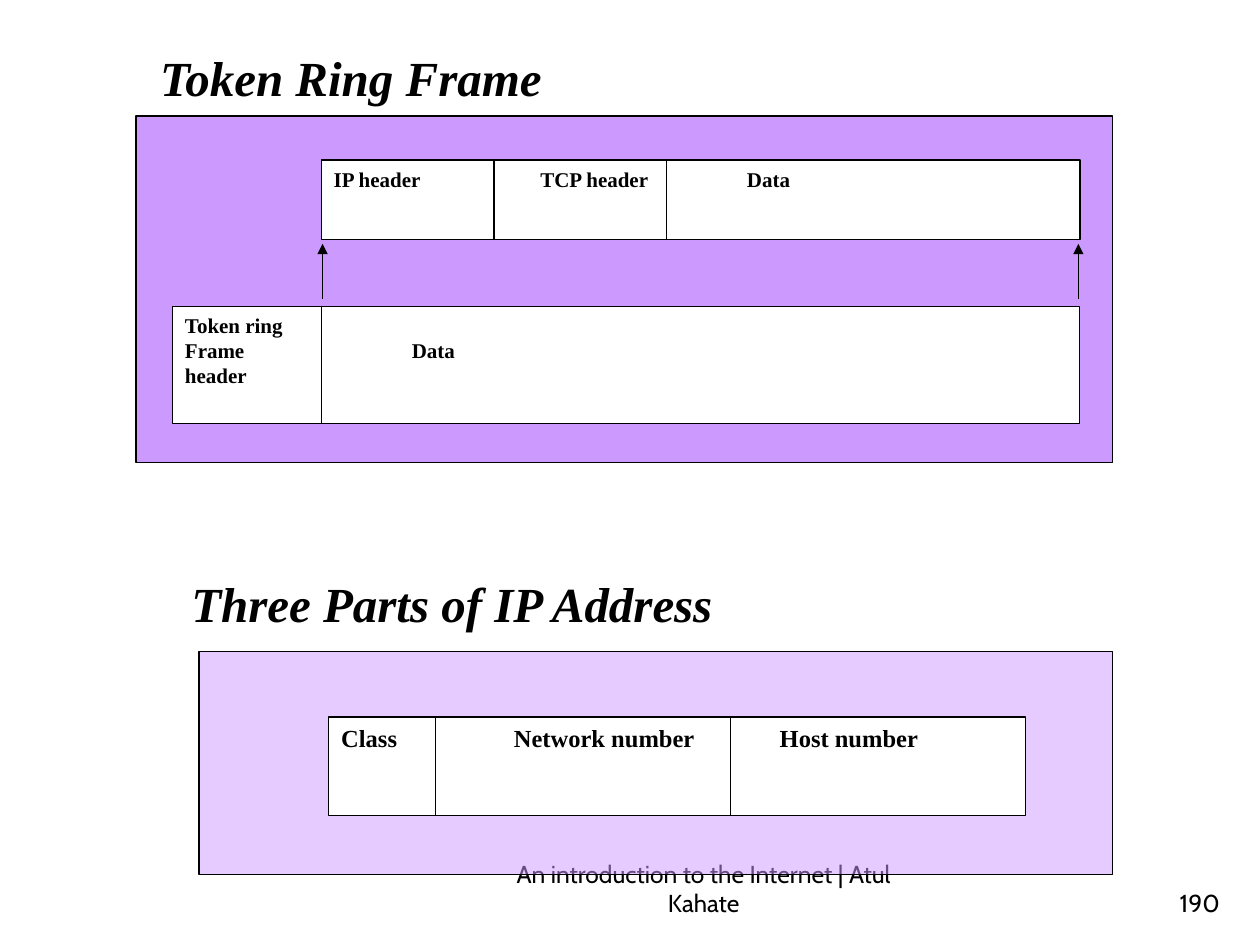
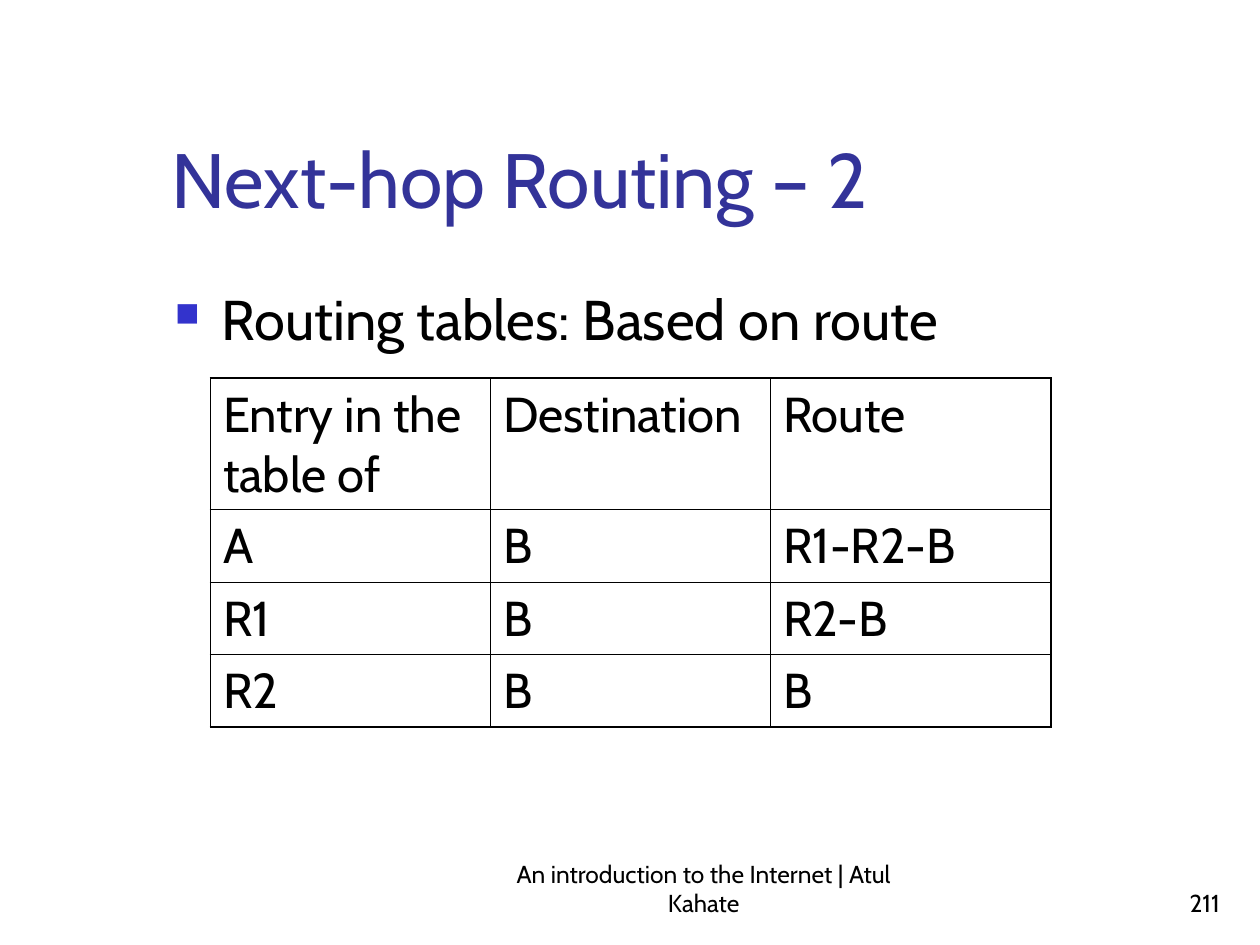
from dataclasses import dataclass

from lxml.etree import SubElement
from pptx import Presentation
from pptx.dml.color import RGBColor
from pptx.enum.shapes import MSO_CONNECTOR, MSO_SHAPE
from pptx.enum.text import MSO_ANCHOR, MSO_AUTO_SIZE, PP_ALIGN
from pptx.oxml import parse_xml
from pptx.oxml.ns import nsdecls, qn
from pptx.util import Inches, Pt

BLACK = RGBColor(0x00, 0x00, 0x00)
WHITE = RGBColor(0xFF, 0xFF, 0xFF)
LILAC = RGBColor(0xCC, 0x99, 0xFF)
TITLE_BLUE = RGBColor(0x33, 0x33, 0x99)
BULLET_BLUE = RGBColor(0x33, 0x33, 0xCC)
SANS, SERIF = "Cabin", "Times New Roman"
TITLE_ONLY = 5
LINE_WIDTH, OUTER_BORDER, INNER_BORDER = Pt(0.75), Pt(1.08), Pt(0.45)
FOOTER = "An introduction to the Internet | Atul Kahate"
ROUTES = [
    ["Entry in the table of", "Destination", "Route"],
    ["A", "B", "R1-R2-B"],
    ["R1", "B", "R2-B"],
    ["R2", "B", "B"],
]


@dataclass
class Box:
    """A rectangle in inches whose areas are given as percentages of it."""

    left: float
    top: float
    width: float
    height: float

    def x(self, share):
        """Return the horizontal position at a percentage of the width."""
        return self.left + self.width * share / 100

    def y(self, share):
        """Return the vertical position at a percentage of the height."""
        return self.top + self.height * share / 100

    def area(self, left, top, width, height):
        """Return the box at the given percentages of this one."""
        return Box(self.x(left), self.y(top), self.width * width / 100, self.height * height / 100)

    def lengths(self):
        """Return left, top, width and height as lengths."""
        return [Inches(value) for value in (self.left, self.top, self.width, self.height)]


SLIDE = Box(0, 0, 10, 7.5)


def style_text(text_frame, font_name, size, color=BLACK, bold=False, italic=False, align=PP_ALIGN.LEFT):
    """Format every paragraph and run of a text frame."""
    for paragraph in text_frame.paragraphs:
        paragraph.alignment = align
        for run in paragraph.runs:
            font = run.font
            font.name, font.size, font.bold, font.italic = font_name, Pt(size), bold, italic
            font.color.rgb = color


def add_text(slide, box, text, anchor=MSO_ANCHOR.TOP):
    """Add a wrapping text box and return its text frame."""
    text_frame = slide.shapes.add_textbox(*box.lengths()).text_frame
    text_frame.word_wrap = True
    text_frame.vertical_anchor = anchor
    text_frame.text = text
    return text_frame


def fill_title(slide, box, text, anchor):
    """Move the title placeholder, fill it and return its text frame."""
    title = slide.shapes.title
    title.left, title.top, title.width, title.height = box.lengths()
    text_frame = title.text_frame
    text_frame.auto_size = MSO_AUTO_SIZE.NONE
    text_frame.vertical_anchor = anchor
    text_frame.text = text
    return text_frame


def style_heading(text_frame):
    """Give a diagram heading its single-line serif style."""
    text_frame.word_wrap = False
    text_frame.auto_size = MSO_AUTO_SIZE.SHAPE_TO_FIT_TEXT
    style_text(text_frame, SERIF, 28, bold=True, italic=True)


def add_slide(presentation, number):
    """Add a title-only slide with the shared footer and its number."""
    slide = presentation.slides.add_slide(presentation.slide_layouts[TITLE_ONLY])
    footer = add_text(slide, SLIDE.area(40, 91.07, 31.7, 6.67), FOOTER, MSO_ANCHOR.BOTTOM)
    style_text(footer, SANS, 14, align=PP_ALIGN.CENTER)
    page = add_text(slide, SLIDE.area(77, 91.07, 20.8, 6.67), str(number), MSO_ANCHOR.BOTTOM)
    style_text(page, SANS, 14, align=PP_ALIGN.RIGHT)
    return slide


def add_rectangle(shapes, box, color, opacity=100):
    """Add a thinly outlined rectangle."""
    shape = shapes.add_shape(MSO_SHAPE.RECTANGLE, *box.lengths())
    shape.shadow.inherit = False
    shape.fill.solid()
    shape.fill.fore_color.rgb = color
    shape.line.color.rgb = BLACK
    shape.line.width = LINE_WIDTH
    if opacity < 100:
        tint = shape._element.spPr.find(qn("a:solidFill"))[0]
        SubElement(tint, qn("a:alpha"), val=str(opacity * 1000))
    return shape


def add_line(shapes, x, start_y, end_y, arrow=False):
    """Add a vertical line, with an arrowhead at its end on request."""
    connector = shapes.add_connector(
        MSO_CONNECTOR.STRAIGHT, Inches(x), Inches(start_y), Inches(x), Inches(end_y))
    connector.line.color.rgb = BLACK
    connector.line.width = LINE_WIDTH
    properties = connector._element.spPr
    if arrow:
        SubElement(properties.find(qn("a:ln")), qn("a:tailEnd"), type="triangle")
    SubElement(properties, qn("a:effectLst"))


def add_fields(shapes, box, text, size, stops, dividers):
    """Add a packet bar with tabbed field names and dividers."""
    text_frame = add_rectangle(shapes, box, WHITE).text_frame
    text_frame.word_wrap = True
    text_frame.vertical_anchor = MSO_ANCHOR.TOP
    text_frame.text = text
    for paragraph in text_frame.paragraphs:
        tabs = SubElement(paragraph._p.get_or_add_pPr(), qn("a:tabLst"))
        for stop in stops:
            SubElement(tabs, qn("a:tab"), pos=str(Inches(stop)), algn="l")
    style_text(text_frame, SERIF, size, bold=True)
    for divider in dividers:
        add_line(shapes, box.x(divider), box.y(0), box.y(100))


def add_token_ring_frame(slide, box):
    """Draw the IP packet carried inside the token ring frame."""
    shapes = slide.shapes.add_group_shape().shapes
    add_rectangle(shapes, box, LILAC)
    add_fields(shapes, box.area(18.97, 12.7, 77.7, 22.9),
               "IP header\tTCP header\tData", 12, [1.64, 3.28], [22.76, 45.51])
    add_fields(shapes, box.area(3.74, 54.9, 92.9, 33.8),
               "Token ring\nFrame\tData\nheader", 12, [1.8], [16.39])
    for edge in (19.1, 96.5):
        add_line(shapes, box.x(edge), box.y(52.7), box.y(36.9), arrow=True)


def add_address_fields(slide, box):
    """Draw the three fields of an IP address on a translucent panel."""
    add_rectangle(slide.shapes, box, LILAC, opacity=50)
    add_fields(slide.shapes, box.area(14.2, 29.4, 76.3, 44.1),
               "Class\tNetwork number\tHost number", 14, [1.37, 3.48], [15.28, 57.6])


def add_bullet(slide, box, text):
    """Add a text box with one square-bulleted paragraph."""
    text_frame = add_text(slide, box, text)
    properties = text_frame.paragraphs[0]._p.get_or_add_pPr()
    properties.set("marL", str(Inches(0.37)))
    properties.set("indent", str(-Inches(0.37)))
    color = SubElement(properties, qn("a:buClr"))
    SubElement(color, qn("a:srgbClr"), val=str(BULLET_BLUE))
    SubElement(properties, qn("a:buSzPct"), val="60000")
    SubElement(properties, qn("a:buChar"), char="■")
    style_text(text_frame, SANS, 32)


def set_borders(cell, outer_sides):
    """Draw the four cell borders, heavier on the table's outer sides."""
    properties = cell._tc.get_or_add_tcPr()
    for index, side in enumerate("LRTB"):
        width = OUTER_BORDER if side in outer_sides else INNER_BORDER
        properties.insert(index, parse_xml(
            f'<a:ln{side} {nsdecls("a")} w="{width}"><a:solidFill>'
            f'<a:srgbClr val="{BLACK}"/></a:solidFill></a:ln{side}>'))


def add_route_table(slide, box):
    """Add the routing table with a tall header row."""
    row_count, column_count = len(ROUTES), len(ROUTES[0])
    table = slide.shapes.add_table(row_count, column_count, *box.lengths()).table
    table.first_row = table.horz_banding = False
    for column in table.columns:
        column.width = Inches(box.width / column_count)
    for index, row in enumerate(table.rows):
        row.height = Inches(box.height * (0.21 if index else 0.37))
    for row, values in enumerate(ROUTES):
        for column, value in enumerate(values):
            cell = table.cell(row, column)
            cell.text_frame.text = value
            cell.text_frame.paragraphs[0].line_spacing = 1.01
            style_text(cell.text_frame, SANS, 28)
            cell.fill.background()
            edges = {"L": column == 0, "R": column == column_count - 1,
                     "T": row == 0, "B": row == row_count - 1}
            set_borders(cell, [side for side, outer in edges.items() if outer])


def build_frame_slide(presentation):
    """Build the slide on the token ring frame and the IP address."""
    slide = add_slide(presentation, 190)
    add_token_ring_frame(slide, SLIDE.area(10.8, 12.27, 77.5, 36.67))
    style_heading(fill_title(
        slide, SLIDE.area(11.7, 4.4, 32.6, 7.6), "Token Ring Frame", MSO_ANCHOR.TOP))
    add_address_fields(slide, SLIDE.area(15.8, 68.93, 72.5, 23.6))
    style_heading(add_text(slide, SLIDE.area(14.2, 60, 43.6, 7.6), "Three Parts of IP Address"))


def build_routing_slide(presentation):
    """Build the slide on next-hop routing."""
    slide = add_slide(presentation, 211)
    title = fill_title(
        slide, SLIDE.area(12.6, 3.07, 85.2, 21.33), "Next-hop Routing – 2", MSO_ANCHOR.BOTTOM)
    style_text(title, SANS, 44, TITLE_BLUE)
    add_bullet(slide, SLIDE.area(12.9, 29.47, 85, 60), "Routing tables: Based on route")
    add_route_table(slide, SLIDE.area(16.7, 40, 66.7, 36.53))


def main():
    """Build and save the presentation."""
    presentation = Presentation()
    presentation.slide_width = Inches(SLIDE.width)
    presentation.slide_height = Inches(SLIDE.height)
    build_frame_slide(presentation)
    build_routing_slide(presentation)
    presentation.save("out.pptx")


if __name__ == "__main__":
    main()
